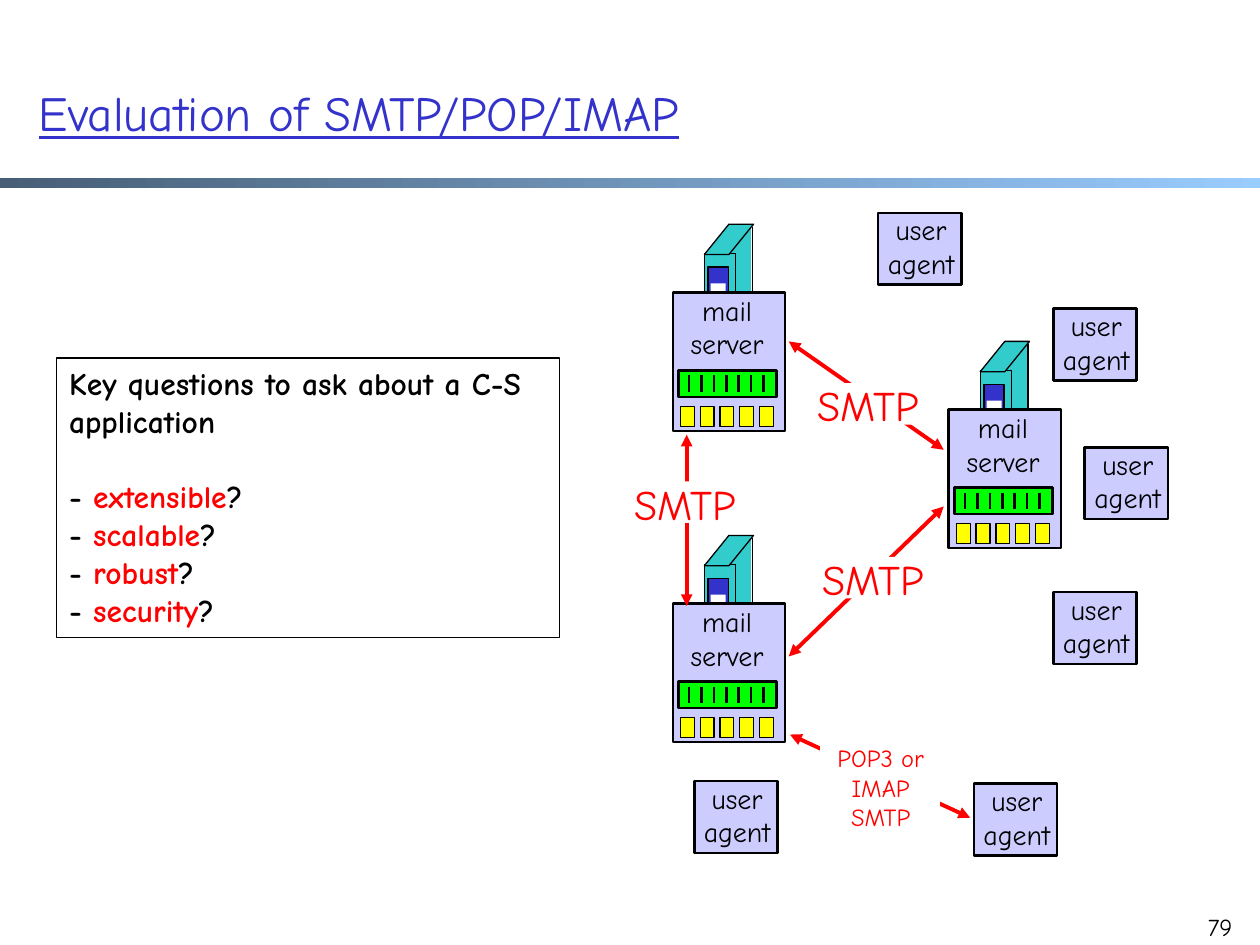
from dataclasses import dataclass

from lxml.etree import SubElement
from pptx import Presentation
from pptx.dml.color import RGBColor
from pptx.enum.shapes import MSO_CONNECTOR, MSO_SHAPE
from pptx.enum.text import MSO_ANCHOR, MSO_AUTO_SIZE, PP_ALIGN
from pptx.oxml.ns import qn
from pptx.util import Inches, Pt

# The slide is a grid of 100 columns by 75 rows; all lengths below are in cells.
COLUMNS, ROWS = 100, 75
CELL = Inches(0.1)


@dataclass(frozen=True)
class Theme:
    font: str = "Comic Neue"
    ink: str = "000000"
    paper: str = "FFFFFF"
    accent: str = "FF0000"
    title: str = "3333CC"
    panel: str = "CCCCFF"
    tower: str = "33CCCC"
    queue: str = "00FF00"
    mailbox: str = "FFFF00"
    bar_start: str = "475E76"
    bar_end: str = "99CCFF"
    title_size: int = 28
    protocol_size: int = 24
    question_size: int = 18
    label_size: int = 16
    small_size: int = 14
    thin: float = 0.75
    medium: float = 1.5
    thick: float = 2.25


THEME = Theme()


def cells(*lengths):
    return [round(length * CELL) for length in lengths]


def color(code):
    return RGBColor.from_string(code)


def add_block(shapes, area, fill=None, line=None, kind=MSO_SHAPE.RECTANGLE):
    """Add a preset shape; without a line width it has no outline."""
    block = shapes.add_shape(kind, *cells(*area))
    block.shadow.inherit = False
    if fill:
        block.fill.solid()
        block.fill.fore_color.rgb = color(fill)
    else:
        block.fill.background()
    if line:
        block.line.color.rgb = color(THEME.ink)
        block.line.width = Pt(line)
    else:
        block.line.fill.background()
    return block


def add_line(shapes, start, end, ink, width, arrows=False):
    line = shapes.add_connector(MSO_CONNECTOR.STRAIGHT, *cells(*start, *end))
    line.line.color.rgb = color(ink)
    line.line.width = Pt(width)
    if arrows:
        outline = line.line._get_or_add_ln()
        for tip in ("a:headEnd", "a:tailEnd"):
            SubElement(outline, qn(tip), type="triangle")
    SubElement(line._element.spPr, qn("a:effectLst"))


def style(span, size, ink, bold=False, underline=False):
    font = span.font
    font.name, font.size, font.color.rgb = THEME.font, Pt(size), color(ink)
    font.bold, font.underline = bold, underline


def add_text(shapes, area, text, size, ink, align=PP_ALIGN.CENTER,
             wrap=False, underline=False, anchor=MSO_ANCHOR.TOP):
    box = shapes.add_textbox(*cells(*area))
    frame = box.text_frame
    frame.text = text
    frame.word_wrap = wrap
    frame.vertical_anchor = anchor
    frame.auto_size = MSO_AUTO_SIZE.NONE if wrap else MSO_AUTO_SIZE.SHAPE_TO_FIT_TEXT
    for para in frame.paragraphs:
        para.alignment = align
        style(para.runs[0], size, ink, underline=underline)


def add_header(shapes):
    bar = add_block(shapes, (0, 14.1, COLUMNS, 0.8), THEME.bar_start)
    bar.fill.gradient()
    bar.fill.gradient_angle = 0
    for stop, code in zip(bar.fill.gradient_stops, (THEME.bar_start, THEME.bar_end)):
        stop.color.rgb = color(code)
    add_text(shapes, (COLUMNS - 6.2, ROWS - 3.1, 5, 5), "79", THEME.small_size,
             THEME.ink, PP_ALIGN.RIGHT, wrap=True)
    add_text(shapes, (2.1, 2.6, 91.7, 12.5), "Evaluation of SMTP/POP/IMAP",
             THEME.title_size, THEME.title, PP_ALIGN.LEFT, wrap=True,
             underline=True, anchor=MSO_ANCHOR.MIDDLE)


def add_questions(shapes):
    box = add_block(shapes, (4.5, 28.4, 39.9, 22.2), line=THEME.thin)
    frame = box.text_frame
    frame.word_wrap = True
    frame.vertical_anchor = MSO_ANCHOR.TOP
    frame.text = "Key questions to ask about a C-S application"
    for index, word in enumerate(("extensible", "scalable", "robust", "security")):
        para = frame.add_paragraph()
        if index == 0:
            para.space_before = Pt(21.5)
        for text in ("- ", word, "?"):
            para.add_run().text = text
    for para in frame.paragraphs:
        para.alignment = PP_ALIGN.LEFT
        for index, span in enumerate(para.runs):
            ink = THEME.accent if index == 1 else THEME.ink
            style(span, THEME.question_size, ink, bold=True)


def add_mail_server(slide_shapes, left, top):
    """Place a server whose panel has its top left corner at left, top."""
    shapes = slide_shapes.add_group_shape().shapes

    def part(x, y, width, height, *look, **options):
        return add_block(shapes, (left + x, top + y, width, height), *look, **options)

    part(4.4, -5.3, 1.8, 7.8, THEME.tower)
    part(2.5, -3.1, 2.5, 7.8, THEME.tower, THEME.thin)
    roof = part(2.5, -5.4, 3.9, 2.4, THEME.tower, THEME.thin,
                kind=MSO_SHAPE.PARALLELOGRAM)
    roof.adjustments[0] = 0.81
    add_line(shapes, (left + 6.3, top - 5.2), (left + 6.3, top + 2.5),
             THEME.ink, THEME.thin)
    part(2.8, -2, 1.6, 4.5, THEME.title, THEME.thin)
    part(3, -0.7, 1.2, 1.6, THEME.paper)
    part(0, 0, 8.9, 11, THEME.panel, THEME.medium)
    add_text(shapes, (left - 0.1, top - 0.4, 8.8, 6.4), "mail\nserver",
             THEME.label_size, THEME.ink)
    part(0.45, 6.2, 7.8, 2.1, THEME.queue, THEME.medium)
    for index in range(7):
        x = left + 1.3 + 0.98 * index
        add_line(shapes, (x, top + 6.6), (x, top + 7.9), THEME.ink, THEME.medium)
    for index in range(5):
        part(0.6 + 1.57 * index, 9.05, 1.1, 1.6, THEME.mailbox, THEME.thin)


def add_user_agent(slide_shapes, left, top):
    shapes = slide_shapes.add_group_shape().shapes
    add_block(shapes, (left, top, 6.6, 5.7), THEME.panel, THEME.medium)
    add_text(shapes, (left - 0.5, top - 0.5, 7.8, 6.4), "user\nagent",
             THEME.label_size, THEME.ink)


def add_protocol(slide_shapes, left, top):
    """Write SMTP on a plain patch that interrupts the arrow below it."""
    shapes = slide_shapes.add_group_shape().shapes
    add_block(shapes, (left, top, 9.4, 3.3), THEME.paper)
    add_text(shapes, (left - 0.95, top - 0.75, 11.3, 5), "SMTP",
             THEME.protocol_size, THEME.accent)


def add_access_protocols(slide_shapes):
    shapes = slide_shapes.add_group_shape().shapes
    add_block(shapes, (65.1, 57.9, 9.4, 3.3), THEME.paper)
    add_block(shapes, (65.2, 58.5, 9.4, 8.1), THEME.paper)
    add_text(shapes, (65.2, 58.5, 9.4, 8.1), "POP3 or\nIMAP\nSMTP",
             THEME.small_size, THEME.accent)


def main():
    deck = Presentation()
    deck.slide_width, deck.slide_height = cells(COLUMNS, ROWS)
    page = deck.slides.add_slide(deck.slide_layouts[6])
    shapes = page.shapes
    add_header(shapes)
    add_questions(shapes)
    for corner in ((75.3, 32.5), (53.4, 47.9), (53.4, 23.2)):
        add_mail_server(shapes, *corner)
    for corner in ((83.6, 24.5), (86.1, 35.5), (83.6, 47), (77.3, 62.2),
                   (55.1, 62), (69.7, 16.9)):
        add_user_agent(shapes, *corner)
    for start, end in (((62.6, 27.1), (74.9, 35.7)), ((62.6, 52.1), (74.9, 40.2)),
                       ((54.5, 48.1), (54.5, 34.5)), ((62.7, 58.3), (77, 64.9))):
        add_line(shapes, start, end, THEME.accent, THEME.thick, arrows=True)
    for corner in ((64.6, 44.2), (64.2, 30.4), (49.7, 38.2)):
        add_protocol(shapes, *corner)
    add_access_protocols(shapes)
    deck.save("out.pptx")


if __name__ == "__main__":
    main()
